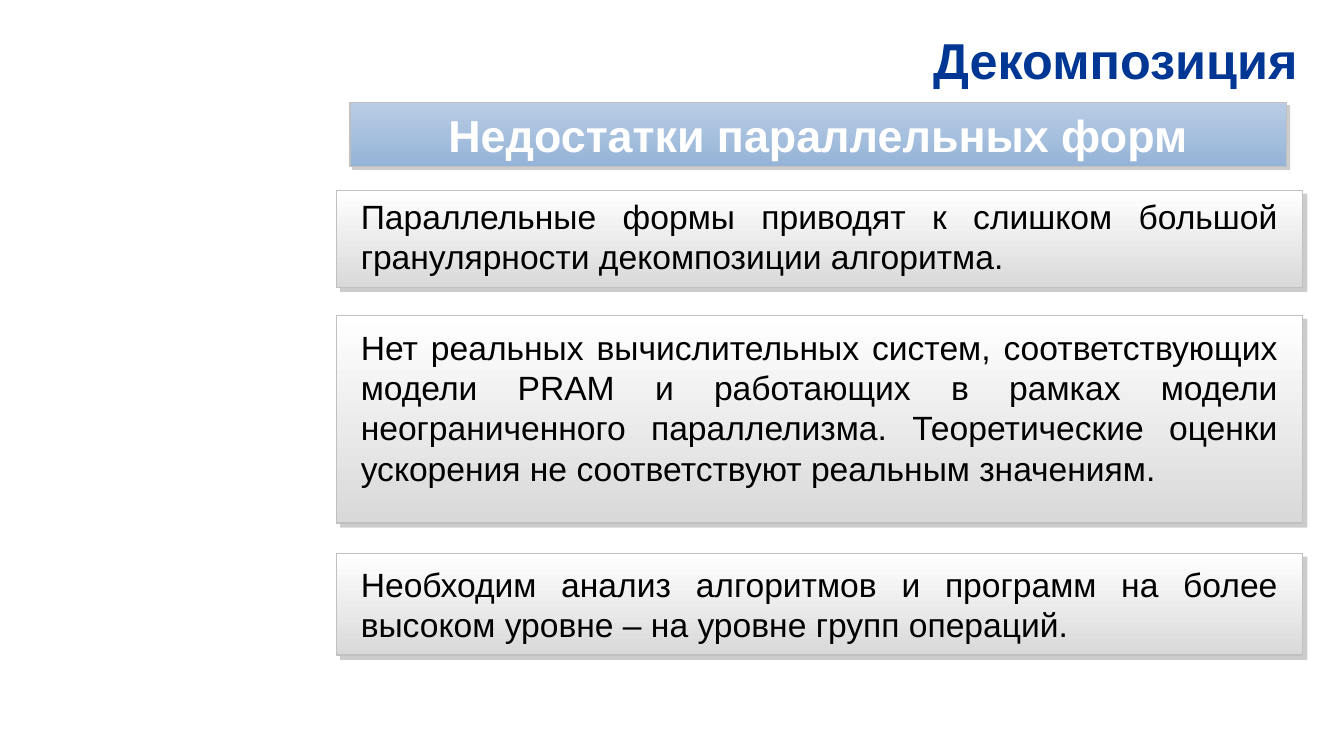
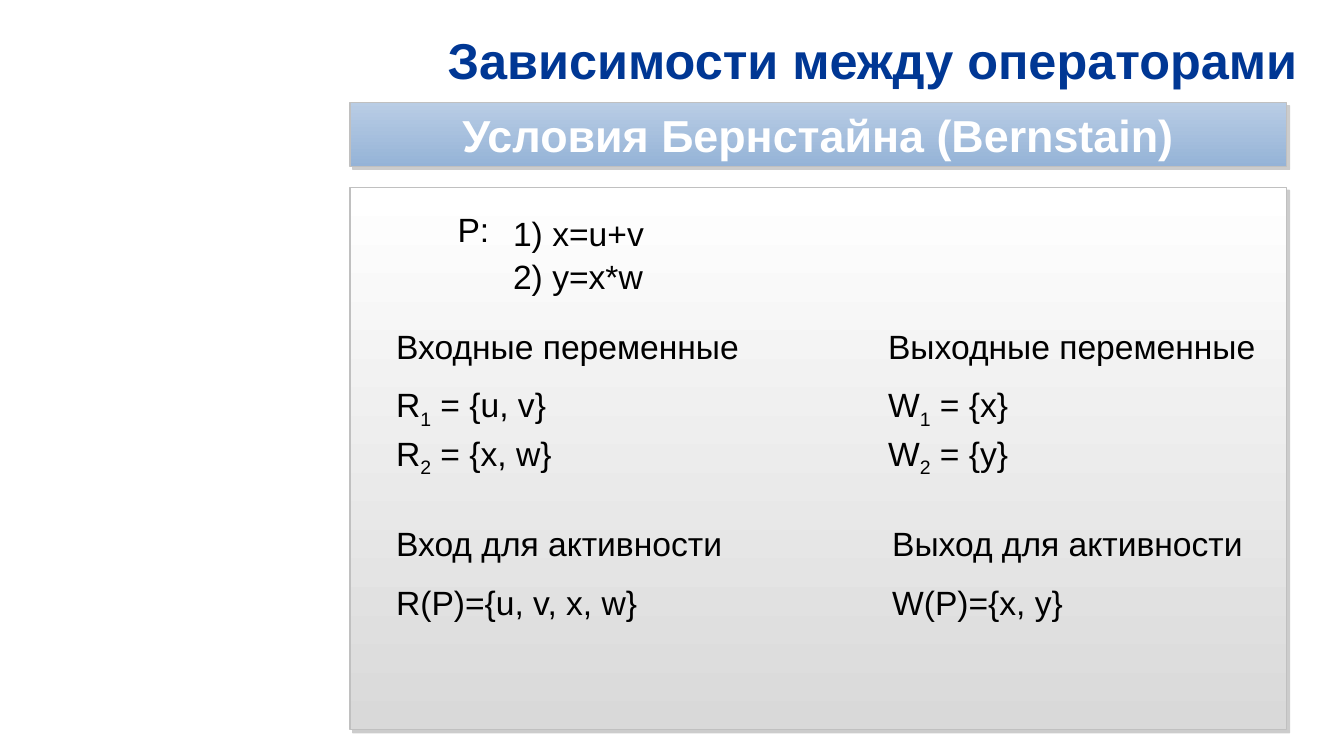
import pptx
import pptx.dml.color
import pptx.enum.shapes
import pptx.enum.text
import pptx.oxml
import pptx.oxml.ns
import pptx.util

Inches, Pt = pptx.util.Inches, pptx.util.Pt
ALIGN = pptx.enum.text.PP_ALIGN
MIDDLE = pptx.enum.text.MSO_ANCHOR.MIDDLE
GROW = pptx.enum.text.MSO_AUTO_SIZE.SHAPE_TO_FIT_TEXT

NAVY, WHITE, BLACK = "003794", "FFFFFF", "000000"
EDGE, SHADE = "C0C0C0", "808080"
GREY = (WHITE, "D9D9D9")
BLUE = ("B9CDE5", "95B3D7")

BODY = {"name": "Arial", "size": Pt(24), "bold": False}
TITLE = {**BODY, "size": Pt(36), "bold": True}
BAND = {**BODY, "size": Pt(32), "bold": True}
TOP = {"word_wrap": True, "auto_size": GROW}
MID = {"word_wrap": True, "vertical_anchor": MIDDLE}
INSET = {
    **MID,
    "margin_left": Inches(0.24),
    "margin_right": Inches(0.24),
    "margin_top": Inches(0.04),
    "margin_bottom": Inches(0.04),
}
LEFT = {"alignment": ALIGN.LEFT}
NEXT = {**LEFT, "space_before": Pt(13)}
TIGHT = {**NEXT, "line_spacing": 0.5}
JUST = {"alignment": ALIGN.JUSTIFY}


def color(code):
    return pptx.dml.color.RGBColor.from_string(code)


def apply(target, values):
    for name, value in values.items():
        setattr(target, name, value)


def shadow(shape, dist):
    """Cast a sharp grey shadow towards the lower right."""
    shape.shadow.inherit = False
    effects = shape.element.spPr.find(pptx.oxml.ns.qn("a:effectLst"))
    effects.append(pptx.oxml.parse_xml(
        f'<a:outerShdw {pptx.oxml.ns.nsdecls("a")} blurRad="0" '
        f'dist="{Pt(dist)}" dir="2700000" algn="tl" rotWithShape="0">'
        f'<a:srgbClr val="{SHADE}"><a:alpha val="40000"/></a:srgbClr>'
        '</a:outerShdw>'))


def panel(slide, at, tones, dist):
    """Add a shaded rectangle with a vertical gradient."""
    shape = slide.shapes.add_shape(
        pptx.enum.shapes.MSO_SHAPE.RECTANGLE, *map(Inches, at))
    shape.fill.gradient()
    shape.fill.gradient_angle = 270
    for stop, tone in zip(shape.fill.gradient_stops, tones):
        stop.color.rgb = color(tone)
    shape.line.color.rgb = color(EDGE)
    shape.line.width = Pt(1)
    shadow(shape, dist)
    return shape


def write(shape, lines, frame=TOP, font=BODY, ink=BLACK):
    """Fill a shape with (text, format) lines; bars enclose subscripts."""
    body = shape.text_frame
    apply(body, frame)
    for row, (text, form) in enumerate(lines):
        para = body.add_paragraph() if row else body.paragraphs[0]
        apply(para, form)
        for part, piece in enumerate(text.split("|")):
            run = para.add_run()
            run.text = piece
            apply(run.font, font)
            run.font.color.rgb = color(ink)
            if part % 2:
                run._r.get_or_add_rPr().set("baseline", "-25000")


def label(slide, at, lines, **style):
    write(slide.shapes.add_textbox(*map(Inches, at)), lines, **style)


def start(deck, title, band):
    """Add a slide with the shared title and blue band."""
    slide = deck.slides.add_slide(deck.slide_layouts[6])
    label(slide, (3.21, 0.23, 9.76, 0.72),
          [(title, {"alignment": ALIGN.RIGHT})],
          frame=MID, font=TITLE, ink=NAVY)
    write(panel(slide, (3.47, 1.02, 9.29, 0.63), BLUE, 3),
          [(band, {"alignment": ALIGN.CENTER})],
          frame=INSET, font=BAND, ink=WHITE)
    return slide


def flaws(deck):
    slide = start(deck, "Декомпозиция", "Недостатки параллельных форм")
    for top, high in ((1.89, 0.96), (3.13, 2.06), (5.49, 1.01)):
        panel(slide, (3.34, top, 9.58, high), GREY, 4)
    label(slide, (3.48, 1.89, 9.29, 4.59), [
        ("Параллельные формы приводят к слишком большой гранулярности "
         "декомпозиции алгоритма.", JUST),
        ("Нет реальных вычислительных систем, соответствующих модели PRAM "
         "и работающих в рамках модели неограниченного параллелизма. "
         "Теоретические оценки ускорения не соответствуют реальным "
         "значениям.",
         {**JUST, "space_before": Pt(36), "space_after": Pt(24)}),
        ("Необходим анализ алгоритмов и программ на более высоком уровне "
         "– на уровне групп операций.",
         {**JUST, "space_before": Pt(30)}),
    ])


def terms(deck):
    slide = start(deck, "Зависимости между операторами",
                  "Условия Бернстайна (Bernstain)")
    panel(slide, (3.47, 1.86, 9.29, 5.38), GREY, 3)
    forms = (LEFT, NEXT, TIGHT)
    for at, texts in (
        ((4.44, 2.02, 0.89, 0.5), ["P:"]),
        ((4.99, 2.06, 2.19, 0.5), ["1) x=u+v"]),
        ((4.99, 2.49, 2.19, 0.5), ["2) y=x*w"]),
        ((3.83, 3.18, 3.62, 1.51),
         ["Входные переменные", "R|1| = {u, v}", "R|2| = {x, w}"]),
        ((8.71, 3.18, 4.05, 1.51),
         ["Выходные переменные", "W|1| = {x}", "W|2| = {y}"]),
        ((3.83, 5.14, 3.7, 1.11),
         ["Вход для активности", "R(P)={u, v, x, w}"]),
        ((8.75, 5.14, 3.7, 1.11),
         ["Выход для активности", "W(P)={x, y}"]),
    ):
        label(slide, at, list(zip(texts, forms)))


def main():
    deck = pptx.Presentation()
    deck.slide_width, deck.slide_height = Inches(13.33), Inches(7.5)
    flaws(deck)
    terms(deck)
    deck.save("out.pptx")


if __name__ == "__main__":
    main()
